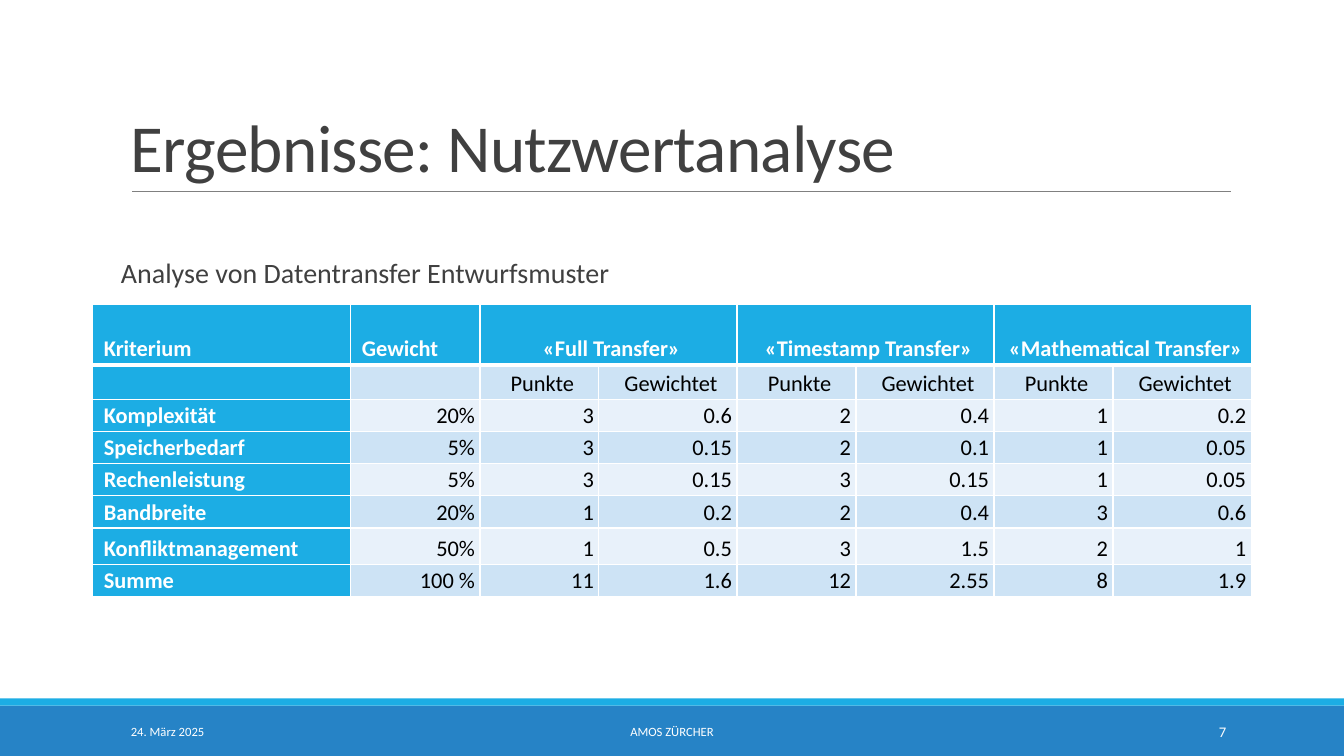
from lxml.etree import SubElement
from pptx import Presentation
from pptx.dml.color import RGBColor
from pptx.enum.shapes import MSO_CONNECTOR, MSO_SHAPE
from pptx.enum.text import MSO_ANCHOR, PP_ALIGN
from pptx.oxml.ns import qn
from pptx.util import Inches, Pt

WHITE = RGBColor(0xFF, 0xFF, 0xFF)
BLACK = RGBColor(0x00, 0x00, 0x00)
CHARCOAL = RGBColor(0x40, 0x40, 0x40)
GREY = RGBColor(0x80, 0x80, 0x80)
CYAN = RGBColor(0x1C, 0xAD, 0xE4)
BLUE = RGBColor(0x26, 0x83, 0xC6)
DARK_BAND = RGBColor(0xCD, 0xE3, 0xF5)
LIGHT_BAND = RGBColor(0xE8, 0xF1, 0xFA)

COLUMN_WIDTHS = [2.56, 1.28] + [1.18, 1.37] * 3
ROW_HEIGHTS = [0.6, 0.34, 0.32, 0.32, 0.32, 0.32, 0.36, 0.32]
SCORES = [
    ["Kriterium", "Gewicht", "«Full Transfer»", "", "«Timestamp Transfer»", "",
     "«Mathematical Transfer»", ""],
    ["", ""] + ["Punkte", "Gewichtet"] * 3,
    ["Komplexität", "20%", "3", "0.6", "2", "0.4", "1", "0.2"],
    ["Speicherbedarf", "5%", "3", "0.15", "2", "0.1", "1", "0.05"],
    ["Rechenleistung", "5%", "3", "0.15", "3", "0.15", "1", "0.05"],
    ["Bandbreite", "20%", "1", "0.2", "2", "0.4", "3", "0.6"],
    ["Konfliktmanagement", "50%", "1", "0.5", "3", "1.5", "2", "1"],
    ["Summe", "100 %", "11", "1.6", "12", "2.55", "8", "1.9"],
]


class SlideBuilder:
    font = "Calibri"

    def __init__(self, slide):
        self.slide = slide

    def band(self, top, height, color):
        band = self.slide.shapes.add_shape(
            MSO_SHAPE.RECTANGLE, 0, Inches(top), Inches(13.33), Inches(height))
        band.shadow.inherit = False
        band.fill.solid()
        band.fill.fore_color.rgb = color
        band.line.fill.background()

    def rule(self, left, right, y):
        rule = self.slide.shapes.add_connector(
            MSO_CONNECTOR.STRAIGHT, Inches(left), Inches(y), Inches(right), Inches(y))
        rule.line.color.rgb = GREY
        rule.line.width = Pt(0.5)
        SubElement(rule._element.spPr, qn("a:effectLst"))

    def styled_run(self, paragraph, words, size, color, bold=False):
        run = paragraph.add_run()
        run.text = words
        run.font.name = self.font
        run.font.size = Pt(size)
        run.font.color.rgb = color
        run.font.bold = bold
        return run

    def text(self, words, left, top, width, height, size, color=WHITE,
             align=PP_ALIGN.LEFT, anchor=MSO_ANCHOR.MIDDLE,
             spacing=1.0, side_inset=0.1, top_inset=0.05):
        box = self.slide.shapes.add_textbox(
            Inches(left), Inches(top), Inches(width), Inches(height))
        frame = box.text_frame
        frame.word_wrap = True
        frame.vertical_anchor = anchor
        frame.margin_left = frame.margin_right = Inches(side_inset)
        frame.margin_top = Inches(top_inset)
        paragraph = frame.paragraphs[0]
        paragraph.alignment = align
        paragraph.line_spacing = spacing
        return self.styled_run(paragraph, words, size, color)

    def border(self, cell, edge, width):
        line = SubElement(cell._tc.get_or_add_tcPr(), qn(f"a:ln{edge}"), w=str(Pt(width)))
        fill = SubElement(line, qn("a:solidFill"))
        SubElement(fill, qn("a:srgbClr"), val=str(WHITE))

    def cell(self, cell, words, row, column):
        heading = row == 0 or column == 0
        for edge in "LRTB":
            thick = (row, edge) in ((0, "B"), (1, "T"))
            self.border(cell, edge, 3 if thick else 1)
        cell.fill.solid()
        band = DARK_BAND if row % 2 else LIGHT_BAND
        cell.fill.fore_color.rgb = CYAN if heading else band
        cell.vertical_anchor = MSO_ANCHOR.BOTTOM
        cell.margin_left = cell.margin_right = Inches(0.05)
        cell.margin_top = cell.margin_bottom = Inches(0.02)
        paragraph = cell.text_frame.paragraphs[0]
        paragraph.line_spacing = Pt(12.2)
        paragraph._p.get_or_add_pPr().set("marL", str(Inches(0.06)))
        if column == 0 or (row == 0 and column == 1):
            paragraph.alignment = PP_ALIGN.LEFT
        else:
            paragraph.alignment = PP_ALIGN.CENTER if row < 2 else PP_ALIGN.RIGHT
        if words:
            self.styled_run(paragraph, words, 16, WHITE if heading else BLACK, heading)

    def table(self, rows, left, top, widths, heights):
        table = self.slide.shapes.add_table(
            len(rows), len(widths), Inches(left), Inches(top),
            Inches(sum(widths)), Inches(sum(heights))).table
        table.first_row = table.horz_banding = False
        for column, width in zip(table.columns, widths):
            column.width = Inches(width)
        for row, height in zip(table.rows, heights):
            row.height = Inches(height)
        for row, values in enumerate(rows):
            for column, words in enumerate(values):
                self.cell(table.cell(row, column), words, row, column)
        for column in range(2, len(widths), 2):
            table.cell(0, column).merge(table.cell(0, column + 1))


def main():
    deck = Presentation()
    deck.slide_width, deck.slide_height = Inches(13.33), Inches(7.5)
    page = SlideBuilder(deck.slides.add_slide(deck.slide_layouts[6]))
    page.band(7, 0.5, BLUE)
    page.band(6.93, 0.07, CYAN)
    page.rule(1.31, 12.21, 1.9)
    title = page.text("Ergebnisse: Nutzwertanalyse", 1.2, 0.31, 11, 1.59, 48, CHARCOAL,
                      anchor=MSO_ANCHOR.BOTTOM, spacing=0.85)
    title.font._element.set("spc", "-50")
    page.text("Analyse von Datentransfer Entwurfsmuster", 1.2, 2.02, 5.4, 4.4, 20, CHARCOAL,
              anchor=MSO_ANCHOR.TOP, spacing=0.9, side_inset=0, top_inset=0.55)
    page.table(SCORES, 0.92, 3.02, COLUMN_WIDTHS, ROW_HEIGHTS)
    page.text("24. März 2025", 1.2, 7.06, 2.7, 0.4, 9)
    page.text("AMOS ZÜRCHER", 4.03, 7.06, 5.27, 0.4, 9, align=PP_ALIGN.CENTER)
    page.text("7", 10.83, 7.06, 1.43, 0.4, 10.5, align=PP_ALIGN.RIGHT)
    deck.save("out.pptx")


if __name__ == "__main__":
    main()
